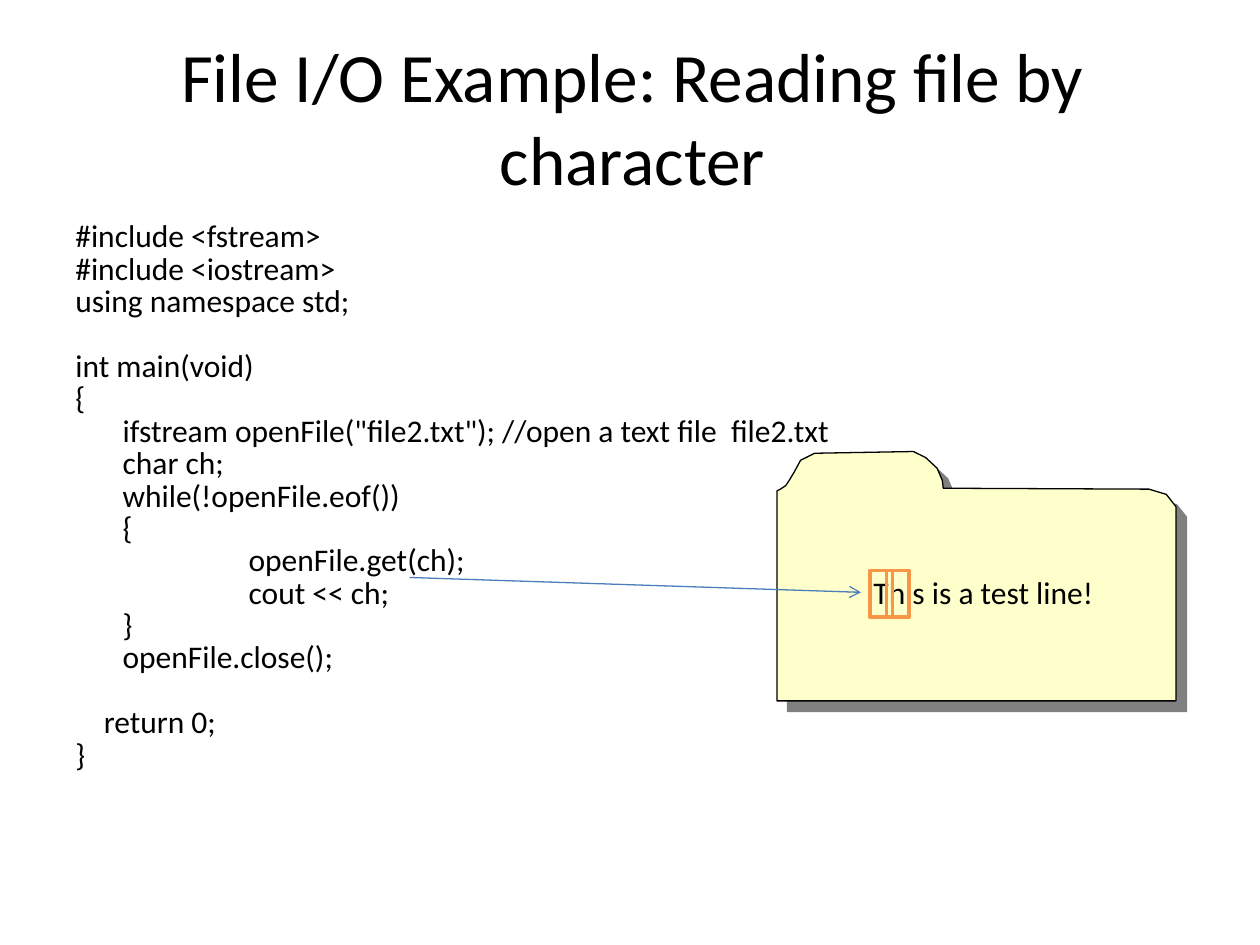
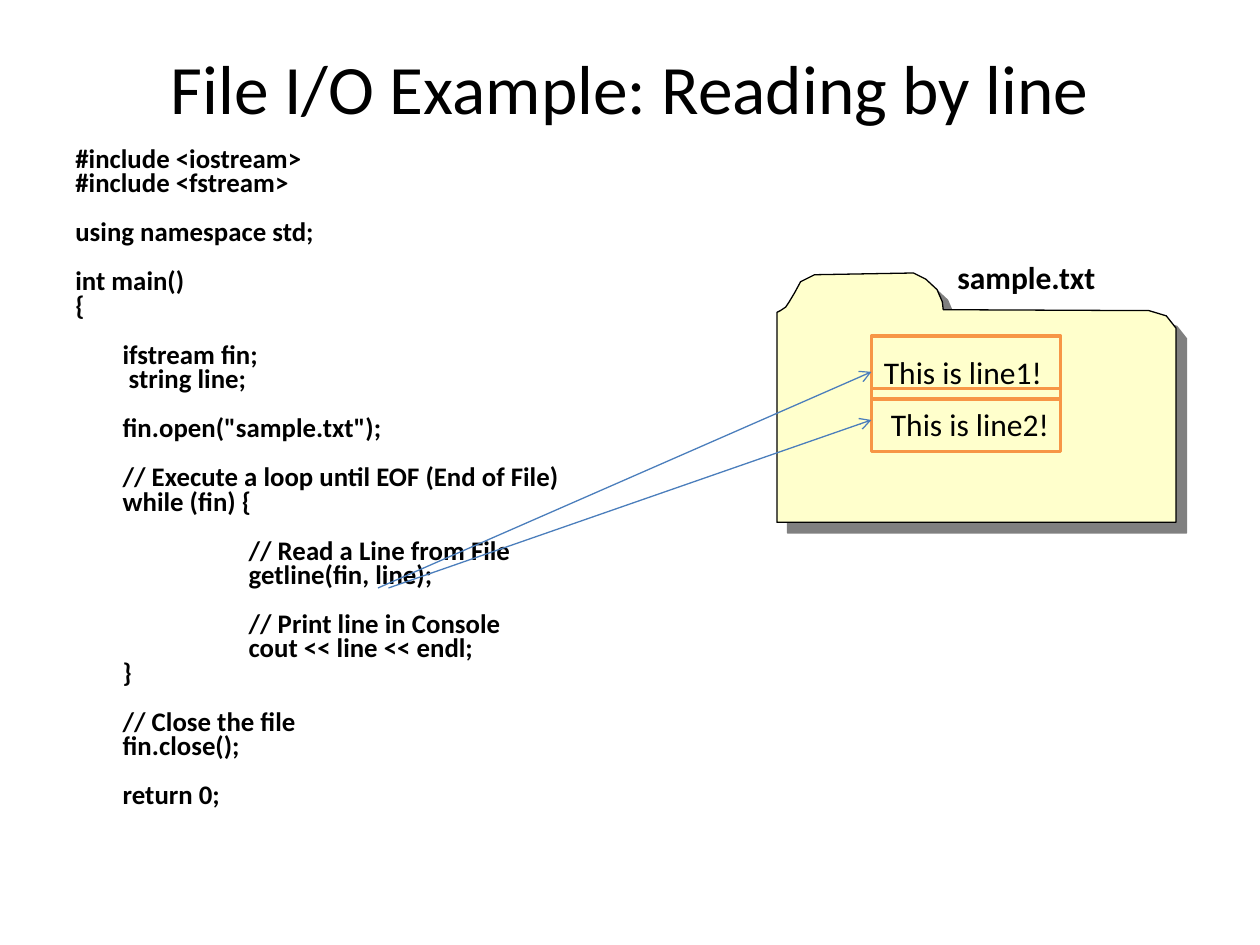
from lxml.etree import SubElement
from pptx import Presentation
from pptx.dml.color import RGBColor
from pptx.enum.shapes import MSO_CONNECTOR, MSO_SHAPE
from pptx.enum.text import MSO_ANCHOR, MSO_AUTO_SIZE, PP_ALIGN
from pptx.oxml.ns import qn
from pptx.util import Pt

# Shared look
FONT = "Calibri"
BLACK, CREAM, GREY = "000000", "FFFFCC", "808080"
BLUE, ORANGE = "4B7EBC", "F79646"
STOPS = [0, 27, 99]  # indent of each code level
LINE, SPACE = 1.22, 0.226  # line height and blank width, in ems

# Folder outline, from its left top corner
FOLDER = [(209, 21.5), (95, 21), (94.5, 16.5), (91.5, 9.5), (85, 3.5),
          (78, 0), (21.5, 1), (13.5, 5), (10, 11.5), (7, 16.5), (5, 19.5),
          (2, 21.5), (0, 22.5), (0, 142.5), (228, 142.5), (228, 31.5),
          (222.5, 24.5), (212.5, 21.5)]

BY_CHAR = """\
#include <fstream>
#include <iostream>
using namespace std;

int main(void)
{
\tifstream openFile("file2.txt"); //open a text file  file2.txt
\tchar ch;
\twhile(!openFile.eof())
\t{
\t\topenFile.get(ch);
\t\tcout << ch;
\t}
\topenFile.close();

    return 0;
}"""

BY_LINE = """\
#include <iostream>
#include <fstream>

using namespace std;

int main()
{

\tifstream fin;
\t string line;

\tfin.open("sample.txt");

\t// Execute a loop until EOF (End of File)
\twhile (fin) {

\t\t// Read a Line from File
\t\tgetline(fin, line);

\t\t// Print line in Console
\t\tcout << line << endl;
\t}

\t// Close the file
\tfin.close();

\treturn 0;"""


def color(code):
    return RGBColor.from_string(code)


class Deck:
    def __init__(self):
        self.prs = Presentation()
        self.prs.slide_width, self.prs.slide_height = Pt(720), Pt(540)

    def style(self, para, size, bold=False):
        font = para.font
        font.name, font.size, font.bold = FONT, Pt(size), bold
        font.color.rgb = color(BLACK)

    def stroke(self, shape, code, width):
        shape.line.color.rgb = color(code)
        shape.line.width = Pt(width)

    def slide(self, title, left, top, width, height):
        page = self.prs.slides.add_slide(self.prs.slide_layouts[5])
        self.shapes = page.shapes
        box = self.shapes.title
        box.left, box.top = Pt(left), Pt(top)
        box.width, box.height = Pt(width), Pt(height)
        frame = box.text_frame
        frame.text = title
        frame.auto_size = MSO_AUTO_SIZE.NONE
        frame.vertical_anchor = MSO_ANCHOR.MIDDLE
        para = frame.paragraphs[0]
        para.alignment = PP_ALIGN.CENTER
        self.style(para, 39.6)

    def frame(self, left, top, width, height, wrap):
        box = self.shapes.add_textbox(Pt(left), Pt(top), Pt(width), Pt(height))
        box.text_frame.word_wrap = wrap
        return box.text_frame

    def code(self, text, top, height, size, ratio, before, bold=False):
        frame = self.frame(36, top, 648, height, True)
        para, gap = frame.paragraphs[0], before
        for row, line in enumerate(text.split("\n")):
            if not line:  # a blank line widens the next gap
                gap += size * LINE * ratio + before
                continue
            if row:
                para = frame.add_paragraph()
            body = line.lstrip("\t")
            words = body.lstrip(" ")
            left = STOPS[len(line) - len(body)]
            left += (len(body) - len(words)) * SPACE * size
            para.text = words
            para.line_spacing, para.space_before = ratio, Pt(gap)
            props = para._p.get_or_add_pPr()
            props.set("marL", str(Pt(left)))
            props.set("indent", "0")
            self.style(para, size, bold)
            gap = before

    def label(self, text, left, top, width, bold=False):
        frame = self.frame(left, top, width, 29, False)
        frame.text = text
        frame.auto_size = MSO_AUTO_SIZE.SHAPE_TO_FIT_TEXT
        self.style(frame.paragraphs[0], 18, bold)

    def folder(self, left, top):
        spots = [(Pt(left + x), Pt(top + y)) for x, y in FOLDER]
        pen = self.shapes.build_freeform(*spots[0])
        pen.add_line_segments(spots[1:], close=True)
        shape = pen.convert_to_shape()
        shape.fill.solid()
        shape.fill.fore_color.rgb = color(CREAM)
        self.stroke(shape, BLACK, 0.75)
        # Hard shadow to the lower right
        shape.shadow.inherit = False
        effects = shape._element.spPr.find(qn("a:effectLst"))
        shade = SubElement(effects, qn("a:outerShdw"), blurRad="0",
                           dist=str(Pt(8.5)), dir="2700000", algn="ctr",
                           rotWithShape="0")
        SubElement(shade, qn("a:srgbClr"), val=GREY)

    def frame_box(self, left, top, width, height):
        shape = self.shapes.add_shape(MSO_SHAPE.RECTANGLE, Pt(left), Pt(top),
                                      Pt(width), Pt(height))
        shape.shadow.inherit = False
        shape.fill.background()
        self.stroke(shape, ORANGE, 2)

    def arrow(self, x1, y1, x2, y2):
        link = self.shapes.add_connector(MSO_CONNECTOR.STRAIGHT, Pt(x1),
                                         Pt(y1), Pt(x2), Pt(y2))
        self.stroke(link, BLUE, 0.75)
        props = link._element.spPr
        SubElement(props.find(qn("a:ln")), qn("a:tailEnd"), type="arrow")
        SubElement(props, qn("a:effectLst"))


deck = Deck()

# Reading by character
deck.slide("File I/O Example: Reading file by character", 37.5, 21.5, 648, 90)
deck.code(BY_CHAR, 126, 356.5, 18, 0.7, 3.36)
deck.folder(444, 258)
deck.label("This is a test line!", 492, 324, 142)
for left in (497, 506.5):
    deck.frame_box(left, 326, 13, 26.5)
deck.arrow(234, 330, 492, 338.5)

# Reading by line
deck.slide("File I/O Example: Reading by line", 36, 21.5, 648, 56)
deck.code(BY_LINE, 84, 399, 15.3, 0.6, 2.9, bold=True)
deck.folder(444, 156)
deck.label("This is line1!", 498, 198, 106)
deck.label("This is line2!", 502, 228, 106)
deck.label("sample.txt", 540, 144, 94, bold=True)
for top in (192, 222):
    deck.frame_box(498, top, 108, 36)
for start, end in ((216, 212.5), (222, 240)):
    deck.arrow(start, 336, 498, end)

deck.prs.save("out.pptx")
